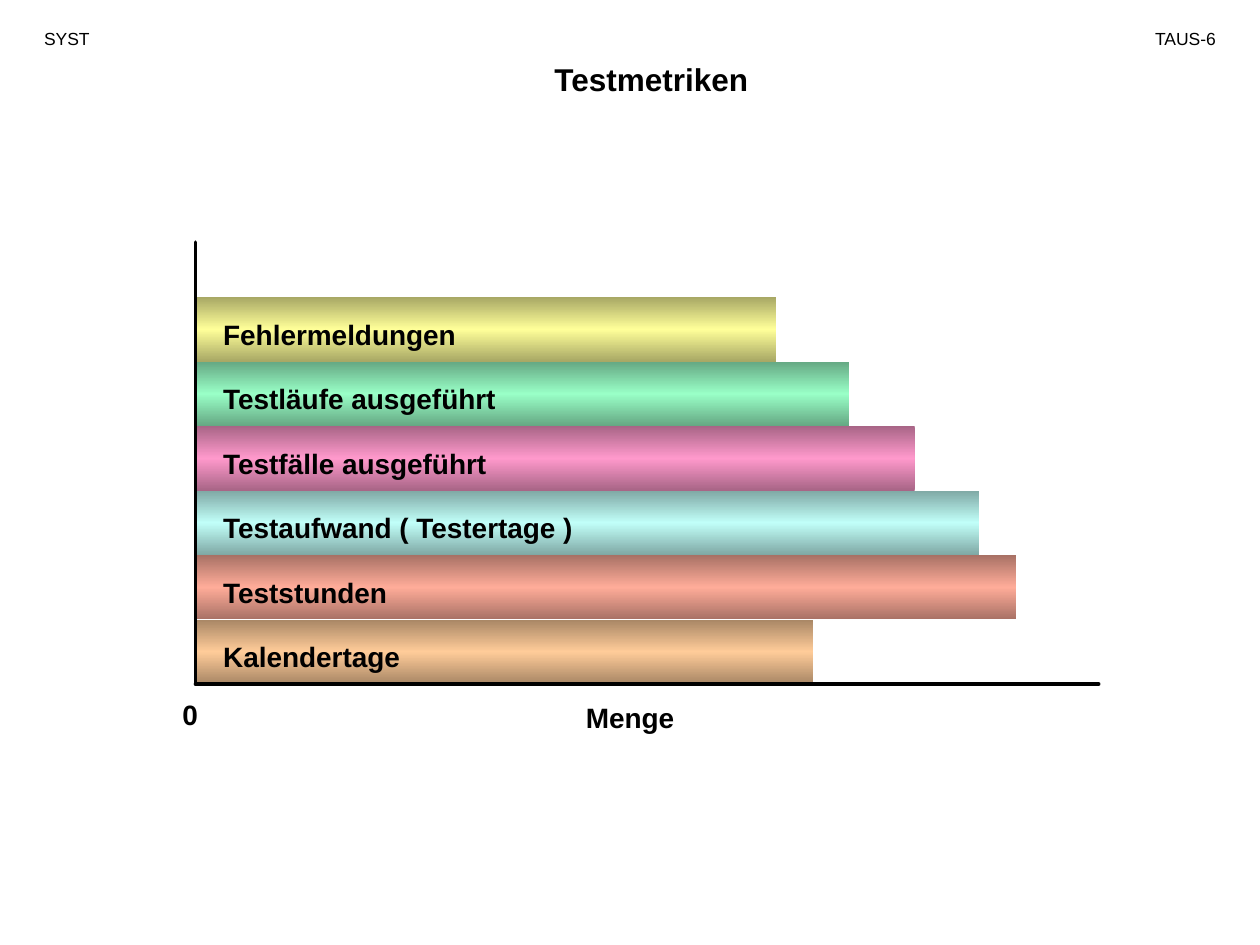
from copy import deepcopy

from pptx import Presentation
from pptx.dml.color import RGBColor
from pptx.enum.shapes import MSO_CONNECTOR, MSO_SHAPE
from pptx.enum.text import MSO_ANCHOR, PP_ALIGN
from pptx.oxml.ns import qn
from pptx.util import Cm, Pt
from lxml import etree

# Content: label, bar length in cm, edge colour, middle colour
BARS = [
    ("Fehlermeldungen", 11.71, "olive", "yellow"),
    ("Testläufe ausgeführt", 13.18, "moss", "green"),
    ("Testfälle ausgeführt", 14.5, "plum", "pink"),
    ("Testaufwand ( Testertage )", 15.8, "slate", "aqua"),
    ("Teststunden", 16.54, "brick", "salmon"),
    ("Kalendertage", 12.45, "brown", "apricot"),
]
TITLE = "Testmetriken"
COLORS = {
    "black": "000000",
    "olive": "A8A865", "yellow": "FFFF99",
    "moss": "65A883", "green": "99FFC7",
    "plum": "A86586", "pink": "FF99CC",
    "slate": "7FA8A4", "aqua": "C1FFF9",
    "brick": "A87165", "salmon": "FFAC99",
    "brown": "A88665", "apricot": "FFCC99",
}

# Geometry in cm
AXIS_LEFT, AXIS_TOP, AXIS_RIGHT = 3.94, 4.88, 22.15
BARS_TOP, BAR_HEIGHT = 5.99, 1.3
AXIS_BOTTOM = BARS_TOP + len(BARS) * BAR_HEIGHT
LABEL_LEFT, LABEL_DROP = 4.5, 0.41

# Captions: text, left, top, width, height, size, bold, alignment, margins
CAPTIONS = [
    ("0", 3.38, 14.07, 0.91, 0.48, 16, True, PP_ALIGN.CENTER, (0, 0)),
    ("Menge", 11.76, 14.12, 1.88, 0.48, 16, True, PP_ALIGN.CENTER, (0, 0)),
    ("SYST", 0.64, 0.43, 2.34, 0.69, 10, False, PP_ALIGN.LEFT, (0.25, 0.13)),
    ("TAUS-6", 22.02, 0.43, 2.74, 0.69, 10, False, PP_ALIGN.RIGHT, (0.25, 0.13)),
]


def color(name):
    return RGBColor.from_string(COLORS[name])


def write(box, text, size, bold, alignment, margins, wrap=True):
    frame = box.text_frame
    frame.text = text
    frame.word_wrap = wrap
    frame.vertical_anchor = MSO_ANCHOR.TOP
    frame.margin_left = frame.margin_right = Cm(margins[0])
    frame.margin_top = frame.margin_bottom = Cm(margins[1])
    paragraph = frame.paragraphs[0]
    paragraph.alignment = alignment
    paragraph.space_before = Pt(0)
    paragraph.font.name = "Arial"
    paragraph.font.size = Pt(size)
    paragraph.font.bold = bold
    paragraph.font.color.rgb = color("black")


def add_bar(page, top, length, edge, middle):
    bar = page.shapes.add_shape(MSO_SHAPE.RECTANGLE, Cm(AXIS_LEFT), Cm(top),
                                Cm(length), Cm(BAR_HEIGHT))
    bar.shadow.inherit = False
    bar.line.fill.background()
    bar.fill.gradient()
    bar.fill.gradient_angle = 90
    # The default gradient has two stops; a third one ends it in the edge colour
    stop_list = bar._element.spPr.find(qn("a:gradFill")).find(qn("a:gsLst"))
    stop_list.append(deepcopy(stop_list[0]))
    for stop, name, position in zip(bar.fill.gradient_stops,
                                    (edge, middle, edge), (0, 0.5, 1)):
        stop.color.rgb = color(name)
        stop.position = position


def add_axis(page, end_x, end_y):
    axis = page.shapes.add_connector(MSO_CONNECTOR.STRAIGHT, Cm(AXIS_LEFT),
                                     Cm(AXIS_BOTTOM), Cm(end_x), Cm(end_y))
    axis.line.color.rgb = color("black")
    axis.line.width = Pt(2)
    axis.line._get_or_add_ln().set("cap", "rnd")
    etree.SubElement(axis._element.spPr, qn("a:effectLst"))


def main():
    deck = Presentation()
    deck.slide_width, deck.slide_height = Cm(25.4), Cm(19.05)
    page = deck.slides.add_slide(deck.slide_layouts[5])

    # Title
    title = page.shapes.title
    title.left, title.top, title.width, title.height = (
        Cm(5.51), Cm(1.07), Cm(15.24), Cm(1.02))
    write(title, TITLE, 18, True, PP_ALIGN.CENTER, (0.25, 0.13))

    # Bars with their labels
    for index, (label, length, edge, middle) in enumerate(BARS):
        top = BARS_TOP + index * BAR_HEIGHT
        add_bar(page, top, length, edge, middle)
        box = page.shapes.add_textbox(Cm(LABEL_LEFT), Cm(top + LABEL_DROP),
                                      Cm(7.75), Cm(0.48))
        write(box, label, 16, True, PP_ALIGN.LEFT, (0, 0))

    # Axes
    add_axis(page, AXIS_LEFT, AXIS_TOP)
    add_axis(page, AXIS_RIGHT, AXIS_BOTTOM)

    # Axis captions and page header
    for text, left, top, width, height, *style in CAPTIONS:
        box = page.shapes.add_textbox(Cm(left), Cm(top), Cm(width), Cm(height))
        write(box, text, *style, wrap=False)

    deck.save("out.pptx")


if __name__ == "__main__":
    main()
